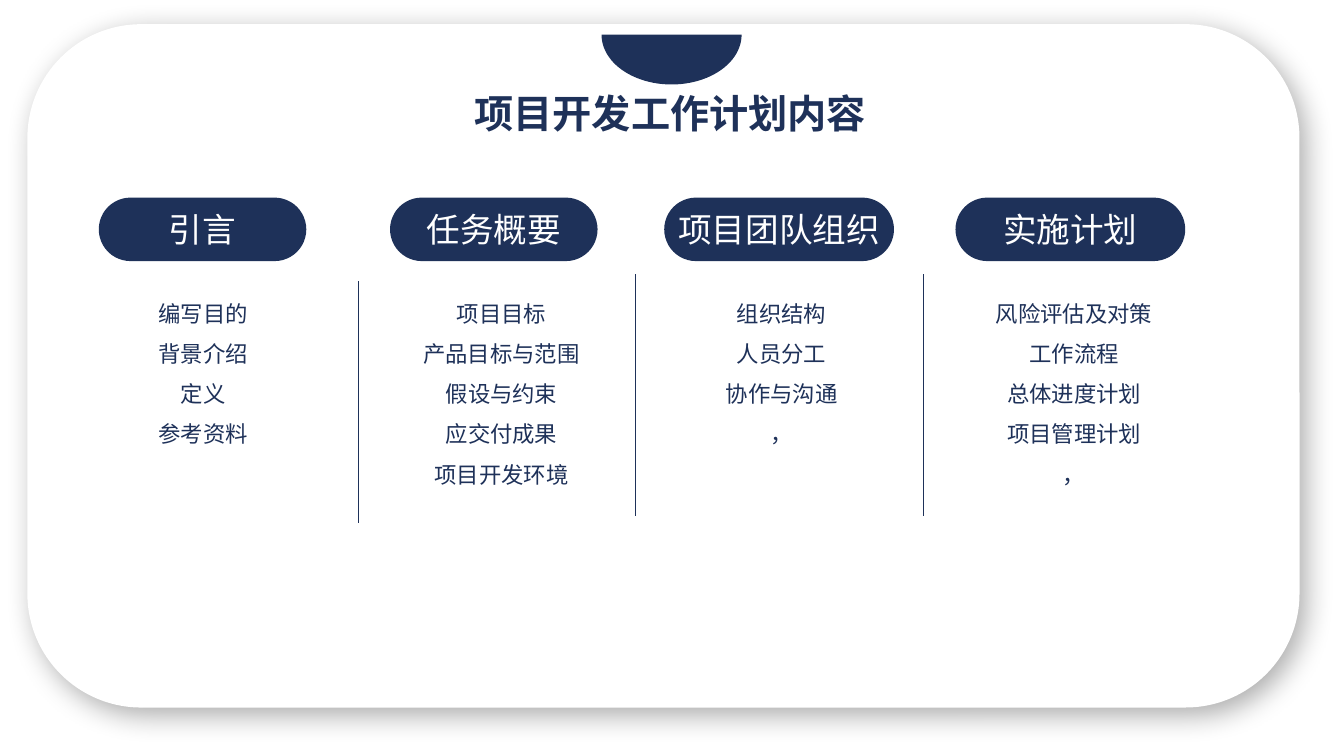
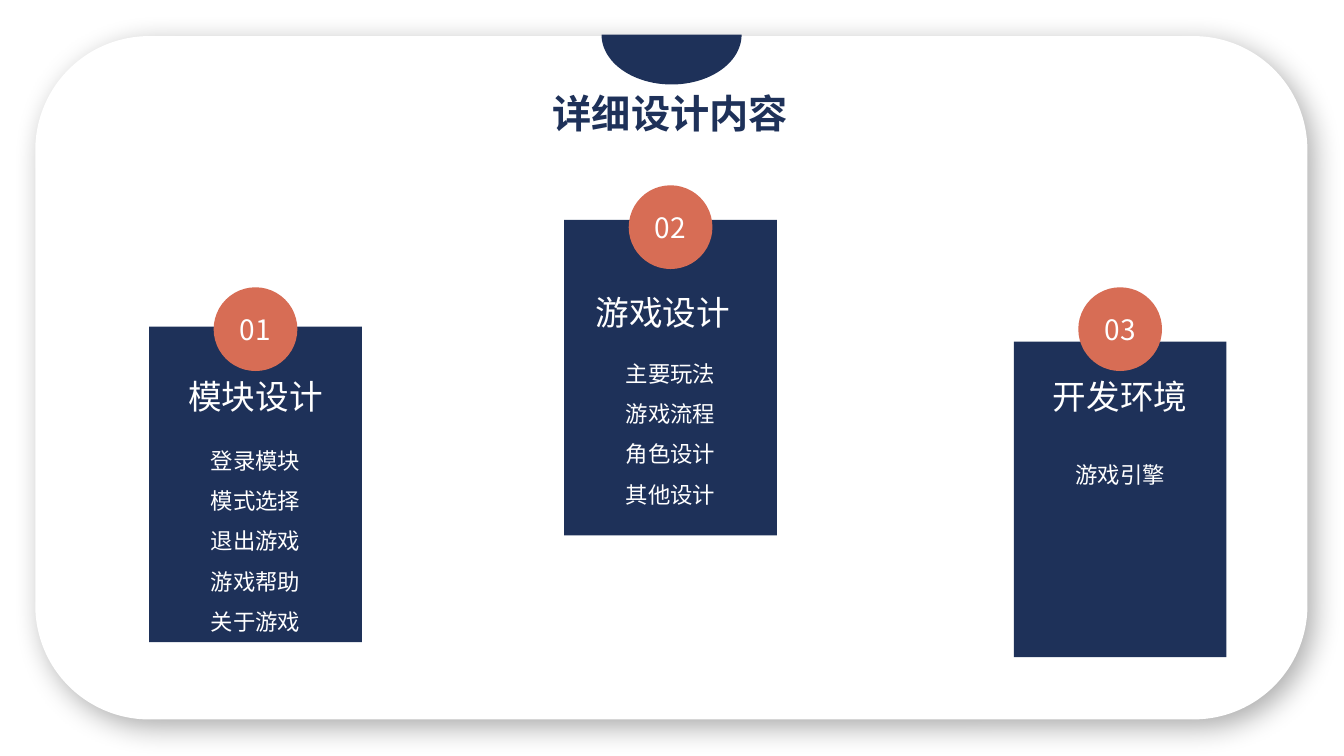
from lxml import etree
from pptx import Presentation
from pptx.dml.color import RGBColor
from pptx.enum.shapes import MSO_CONNECTOR, MSO_SHAPE
from pptx.enum.text import MSO_ANCHOR, PP_ALIGN
from pptx.oxml.ns import qn
from pptx.util import Cm, Pt

NAVY = RGBColor(0x1E, 0x31, 0x59)
CORAL = RGBColor(0xD7, 0x6D, 0x55)
WHITE = RGBColor(0xFF, 0xFF, 0xFF)
FONT = "Noto Sans CJK SC"

STRAIGHT = MSO_CONNECTOR.STRAIGHT
ROUNDED = MSO_SHAPE.ROUNDED_RECTANGLE
RECTANGLE = MSO_SHAPE.RECTANGLE
OVAL = MSO_SHAPE.OVAL
PIE = MSO_SHAPE.PIE
CENTER = PP_ALIGN.CENTER
TOP = MSO_ANCHOR.TOP
MIDDLE = MSO_ANCHOR.MIDDLE

PLAN_TITLE = "项目开发工作计划内容"
PLAN_COLUMNS = [
    {"heading": "引言", "left": 2.49, "width": 5.23, "items_left": 1.93,
     "items": ["编写目的", "背景介绍", "定义", "参考资料"]},
    {"heading": "任务概要", "left": 9.83, "width": 5.23, "items_left": 9.45,
     "items": ["项目目标", "产品目标与范围", "假设与约束", "应交付成果", "项目开发环境"]},
    {"heading": "项目团队组织", "left": 16.74, "width": 5.79, "items_left": 16.51,
     "items": ["组织结构", "人员分工", "协作与沟通", "，"]},
    {"heading": "实施计划", "left": 24.08, "width": 5.79, "items_left": 23.88,
     "items": ["风险评估及对策", "工作流程", "总体进度计划", "项目管理计划", "，"]},
]
DIVIDERS = [(9.04, 7.09), (16.0, 6.91), (23.27, 6.91)]
DIVIDER_LENGTH = 6.09
PILL_TOP, PILL_HEIGHT = 4.98, 1.6
ITEMS_TOP, ITEMS_WIDTH, ITEMS_HEIGHT = 7.09, 6.38, 5.3

DESIGN_TITLE = "详细设计内容"
DESIGN_CARDS = [
    {"heading": "模块设计", "left": 3.76, "top": 8.23, "badge_top": 7.24,
     "heading_top": 9.35, "heading_shift": 0, "items_top": 10.8,
     "items": ["登录模块", "模式选择", "退出游戏", "游戏帮助", "关于游戏"]},
    {"heading": "游戏设计", "left": 14.22, "top": 5.54, "badge_top": 4.67,
     "heading_top": 7.24, "heading_shift": -0.2, "items_top": 8.61,
     "items": ["主要玩法", "游戏流程", "角色设计", "其他设计"]},
    {"heading": "开发环境", "left": 25.55, "top": 8.61, "badge_top": 7.24,
     "heading_top": 9.35, "heading_shift": 0, "items_top": 11.15,
     "items": ["游戏引擎"]},
]
CARD_WIDTH, CARD_HEIGHT = 5.36, 7.95
BADGE_SIZE = 2.11
HEADING_HEIGHT = 1.27

PANEL_SIZE = (32.06, 17.22)


def write(frame, lines, size, color, bold=False, spacing=None):
    for index, line in enumerate(lines):
        paragraph = frame.add_paragraph() if index else frame.paragraphs[0]
        paragraph.text = line
        paragraph.alignment = CENTER
        if spacing:
            paragraph.line_spacing = spacing
        font = paragraph.font
        font.size = Pt(size)
        font.bold = bold
        font.color.rgb = color
        font.name = FONT
        defaults = paragraph._p.pPr.find(qn("a:defRPr"))
        etree.SubElement(defaults, qn("a:ea"), typeface=FONT)


def add_text(slide, box, lines, size, color, **style):
    frame = slide.shapes.add_textbox(*map(Cm, box)).text_frame
    frame.word_wrap = True
    frame.vertical_anchor = TOP
    write(frame, lines, size, color, **style)


def add_block(slide, preset, box, fill, label=None, size=None):
    block = slide.shapes.add_shape(preset, *map(Cm, box))
    block.shadow.inherit = False
    block.fill.solid()
    block.fill.fore_color.rgb = fill
    block.line.fill.background()
    if label:
        frame = block.text_frame
        frame.word_wrap = False
        frame.vertical_anchor = MIDDLE
        frame.margin_left = frame.margin_right = 0
        frame.margin_top = frame.margin_bottom = 0
        write(frame, [label], size, WHITE)
    return block


def add_divider(slide, x, top):
    divider = slide.shapes.add_connector(
        STRAIGHT, Cm(x), Cm(top), Cm(x), Cm(top + DIVIDER_LENGTH))
    divider.line.color.rgb = NAVY
    divider.line.width = Pt(0.5)
    etree.SubElement(divider._element.spPr, qn("a:effectLst"))


def add_panel(slide, left, top):
    panel = add_block(slide, ROUNDED, (left, top, *PANEL_SIZE), WHITE)
    effects = panel._element.spPr.find(qn("a:effectLst"))
    shadow = etree.SubElement(
        effects, qn("a:outerShdw"), blurRad=str(Pt(21)), dist=str(Pt(8)),
        dir="2700000", algn="tl", rotWithShape="0")
    tint = etree.SubElement(shadow, qn("a:srgbClr"), val="000000")
    etree.SubElement(tint, qn("a:alpha"), val="32000")


def add_framed_slide(deck, title, panel_left, panel_top):
    slide = deck.slides.add_slide(deck.slide_layouts[6])
    add_panel(slide, panel_left, panel_top)
    half_disc = add_block(slide, PIE, (15.16, -0.38, 3.53, 2.51), NAVY)
    half_disc.adjustments[0] = 0
    half_disc.adjustments[1] = 108
    add_text(slide, (10.89, 2.13, 12, 1.45), [title], 28, NAVY, bold=True)
    return slide


def build_plan(deck):
    slide = add_framed_slide(deck, PLAN_TITLE, 0.69, 0.61)
    for column in PLAN_COLUMNS:
        pill = add_block(
            slide, ROUNDED,
            (column["left"], PILL_TOP, column["width"], PILL_HEIGHT),
            NAVY, column["heading"], 24)
        pill.adjustments[0] = 0.5
        add_text(slide,
                 (column["items_left"], ITEMS_TOP, ITEMS_WIDTH, ITEMS_HEIGHT),
                 column["items"], 16, NAVY, spacing=1.5)
    for x, top in DIVIDERS:
        add_divider(slide, x, top)


def build_design(deck):
    slide = add_framed_slide(deck, DESIGN_TITLE, 0.89, 0.91)
    for number, card in enumerate(DESIGN_CARDS, 1):
        left, top = card["left"], card["top"]
        add_block(slide, RECTANGLE, (left, top, CARD_WIDTH, CARD_HEIGHT), NAVY)
        badge_left = left + (CARD_WIDTH - BADGE_SIZE) / 2
        add_block(slide, OVAL,
                  (badge_left, card["badge_top"], BADGE_SIZE, BADGE_SIZE),
                  CORAL, f"{number:02}", 20)
        add_text(slide,
                 (left + card["heading_shift"], card["heading_top"],
                  CARD_WIDTH, HEADING_HEIGHT),
                 [card["heading"]], 24, WHITE)
        items_height = top + CARD_HEIGHT - card["items_top"]
        add_text(slide, (left, card["items_top"], CARD_WIDTH, items_height),
                 card["items"], 16, WHITE, spacing=1.5)


def main():
    deck = Presentation()
    deck.slide_width = Cm(33.87)
    deck.slide_height = Cm(19.05)
    build_plan(deck)
    build_design(deck)
    deck.save("out.pptx")


if __name__ == "__main__":
    main()
